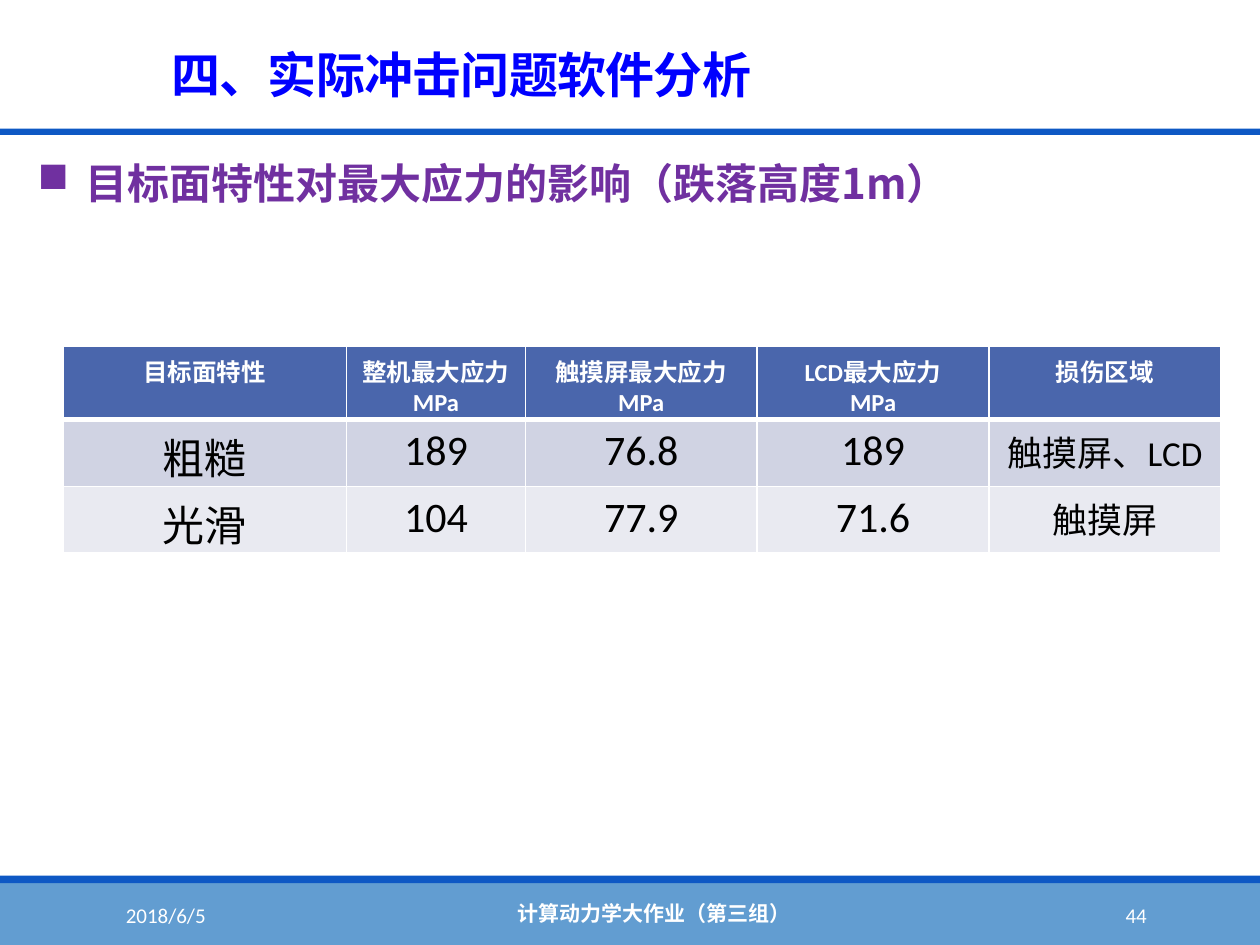
from lxml.etree import SubElement
from pptx import Presentation
from pptx.dml.color import RGBColor
from pptx.enum.shapes import MSO_SHAPE as Shape
from pptx.enum.text import MSO_ANCHOR as Anchor, PP_ALIGN as Align
from pptx.oxml.ns import qn
from pptx.util import Inches, Pt

WHITE = RGBColor(0xFF, 0xFF, 0xFF)
BLACK = RGBColor(0, 0, 0)
BLUE = RGBColor(0, 0, 0xFF)
PURPLE = RGBColor(0x70, 0x30, 0xA0)
SKY = RGBColor(0x62, 0x9D, 0xD1)
RULE = RGBColor(0x0E, 0x58, 0xC4)
HEAD = RGBColor(0x4A, 0x66, 0xAC)
BANDS = [RGBColor(0xD0, 0xD3, 0xE3), RGBColor(0xE9, 0xEA, 0xF1)]
LATIN, HAN = "Calibri", "Noto Sans CJK SC"

# Content
TITLE = "四、实际冲击问题软件分析"
POINT = "目标面特性对最大应力的影响（跌落高度1m）"
ROWS = [
    ["目标面特性", "整机最大应力\nMPa", "触摸屏最大应力\nMPa", "LCD最大应力\nMPa", "损伤区域"],
    ["粗糙", "189", "76.8", "189", "触摸屏、LCD"],
    ["光滑", "104", "77.9", "71.6", "触摸屏"],
]
WIDTHS = [2.25, 1.42, 1.84, 1.84, 1.84]
HEIGHTS = [0.58, 0.53, 0.53]
BARS = [(7, 0.5, SKY), (6.95, 0.06, RULE), (1.02, 0.05, RULE)]
FOOTER = [
    ("计算动力学大作业（第三组）", (2.58, 7.02, 5.22, 0.44),
     dict(align=Align.CENTER, bold=True, lead=1.05)),
    ("2018/6/5", (0.9, 7.06, 2.03, 0.4), {}),
    ("44", (8.12, 7.06, 1.08, 0.4), dict(align=Align.RIGHT)),
]


def write(frame, text, size=12, color=WHITE, font=LATIN, bold=False,
          align=Align.LEFT, lead=None, track=None, bullet=None, hang=0.38):
    frame.word_wrap = True
    for i, line in enumerate(text.split("\n")):
        para = frame.paragraphs[0] if i == 0 else frame.add_paragraph()
        para.alignment = align
        para.space_before = Pt(0)
        if lead:
            para.line_spacing = lead
        if bullet:
            props = para._p.get_or_add_pPr()
            props.set("marL", str(Inches(hang)))
            props.set("indent", str(-Inches(hang)))
            SubElement(props, qn("a:buChar")).set("char", bullet)
        run = para.add_run()
        run.text = line
        face = run.font
        face.size, face.bold, face.name = Pt(size), bold, font
        face.color.rgb = color
        SubElement(run._r.rPr, qn("a:ea")).set("typeface", HAN)
        if track:
            run._r.rPr.set("spc", str(round(track * 100)))


def edge(cell, low):
    """Draw white cell borders; low is the bottom line width in points."""
    props = cell._tc.get_or_add_tcPr()
    for i, (side, width) in enumerate([("L", 1), ("R", 1), ("T", 1), ("B", low)]):
        line = props.makeelement(qn("a:ln" + side), {"w": str(Pt(width))})
        fill = SubElement(line, qn("a:solidFill"))
        SubElement(fill, qn("a:srgbClr")).set("val", str(WHITE))
        props.insert(i, line)


deck = Presentation()
deck.slide_width, deck.slide_height = Inches(10), Inches(7.5)
slide = deck.slides.add_slide(deck.slide_layouts[5])
shapes = slide.shapes

# Bars
for top, height, color in BARS:
    bar = shapes.add_shape(Shape.RECTANGLE, 0, Inches(top), Inches(10), Inches(height))
    bar.shadow.inherit = False
    bar.fill.solid()
    bar.fill.fore_color.rgb = color
    bar.line.fill.background()

# Footer
for text, place, style in FOOTER:
    box = shapes.add_textbox(*map(Inches, place))
    box.text_frame.vertical_anchor = Anchor.MIDDLE
    write(box.text_frame, text, **style)

# Title
title = shapes.title
title.left, title.top, title.width, title.height = map(Inches, (1.26, 0.25, 4.91, 0.62))
title.text_frame.vertical_anchor = Anchor.BOTTOM
write(title.text_frame, TITLE, size=28, color=BLUE, font=HAN, bold=True,
      lead=0.85, track=-0.4)

# Point
box = shapes.add_textbox(*map(Inches, (0.2, 1.2, 7.7, 0.5)))
write(box.text_frame, POINT, size=24, color=PURPLE, font=HAN, bold=True, bullet="■")

# Table
table = shapes.add_table(len(ROWS), len(WIDTHS), Inches(0.5), Inches(2.75),
                         Inches(sum(WIDTHS)), Inches(sum(HEIGHTS))).table
for col, width in zip(table.columns, WIDTHS):
    col.width = Inches(width)
for r, row in enumerate(ROWS):
    table.rows[r].height = Inches(HEIGHTS[r])
    for c, text in enumerate(row):
        cell = table.cell(r, c)
        cell.fill.solid()
        cell.fill.fore_color.rgb = BANDS[r - 1] if r else HEAD
        edge(cell, 1 if r else 3)
        last = c == len(row) - 1
        size = 14 if r == 0 else 20 if last else 24
        write(cell.text_frame, text, size=size, color=BLACK if r else WHITE,
              bold=r == 0, align=Align.CENTER)

deck.save("out.pptx")
